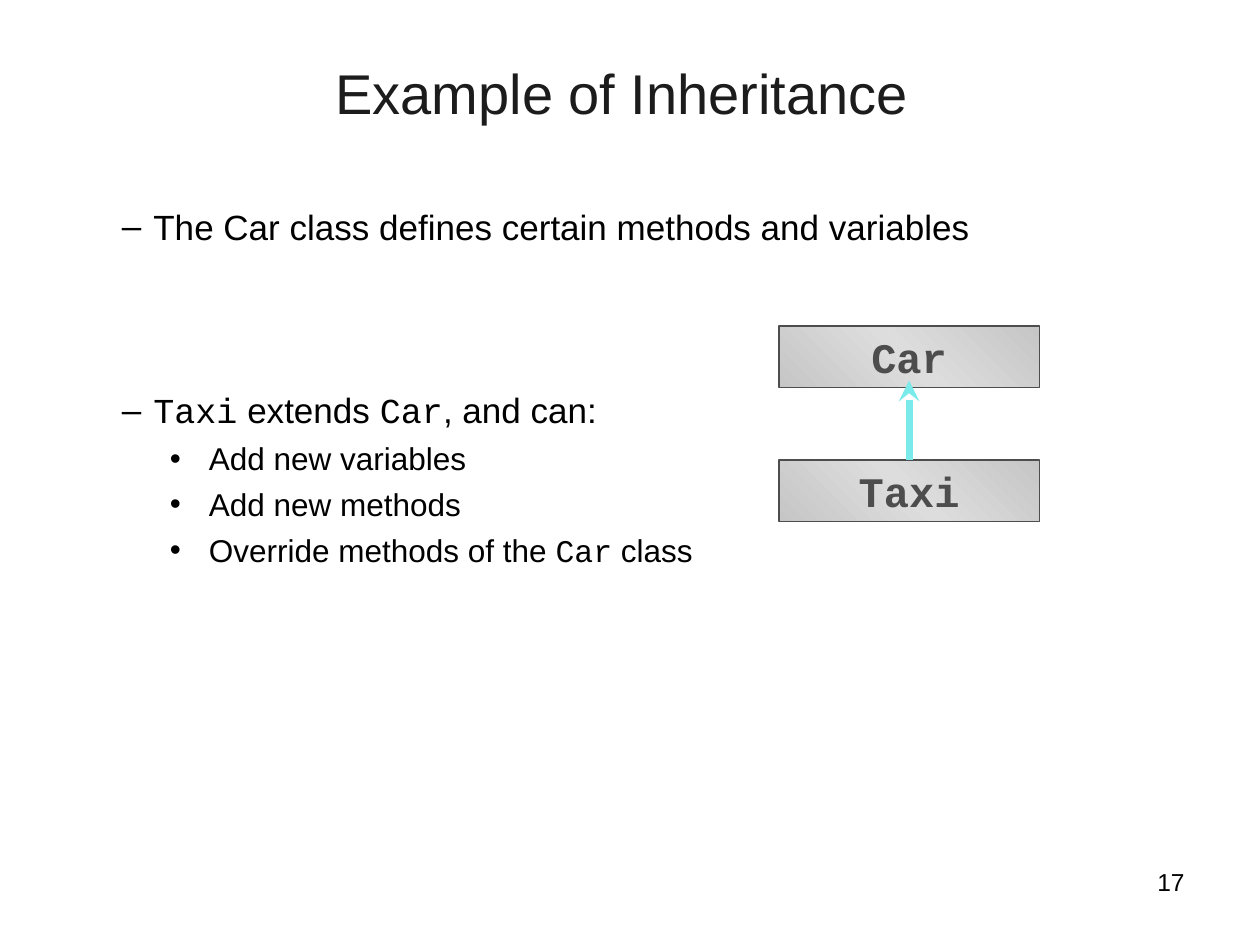
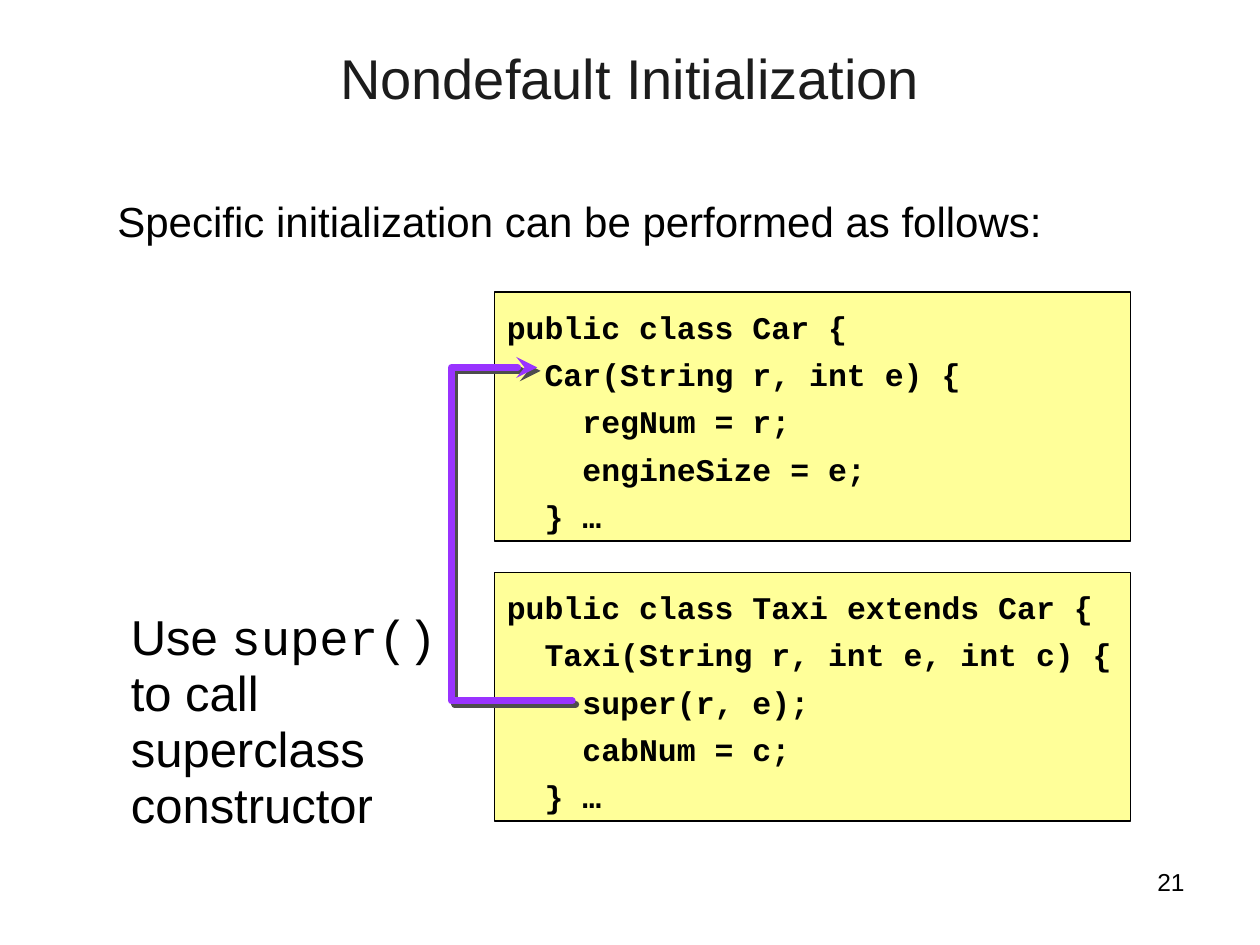
from lxml import etree
from pptx import Presentation
from pptx.dml.color import RGBColor
from pptx.enum import shapes as kinds, text as texts
from pptx.oxml import ns
from pptx.util import Pt

SANS, MONO = "Arial", "Courier New"
BLACK, TITLE, GREY = "000000", "1C1C1C", "4D4D4D"
CYAN, VIOLET, CREAM = "7BEAEA", "9933FF", "FFFF99"
STOPS = [(0, "C6C6C6"), (50, "DDDDDD"), (100, "C6C6C6")]
LEFT, MID, RIGHT = (texts.PP_ALIGN.LEFT, texts.PP_ALIGN.CENTER,
                    texts.PP_ALIGN.RIGHT)

# Content; words between backticks are set in the code font
DASH = dict(size=20, mark="–", left=26.6, hang=18, before=5)
DOT = dict(size=18, mark="•", left=58.3, hang=22.3, before=4.5)
POINTS = [
    ("The Car class defines certain methods and variables", DASH),
    ("`Taxi` extends `Car`, and can:", {**DASH, "before": 83.4, "lead": 0.9}),
    ("Add new variables", DOT),
    ("Add new methods", DOT),
    ("Override methods of the `Car` class", DOT),
]
INTRO = "Specific initialization can be performed as follows:"
HINT = "Use `super()` to call superclass constructor"
# Each code line: depth of nesting, text
CODE = [
    [(0, "public class Car {"), (1, "Car(String r, int e) {"),
     (2, "regNum = r;"), (2, "engineSize = e;"), (1, "} …")],
    [(0, "public class Taxi extends Car {"),
     (1, "Taxi(String r, int e, int c) {"),
     (2, "super(r, e);"), (2, "cabNum = c;"), (1, "} …")],
]
STEP = 21.6  # two characters of 18 pt code


def tint(code):
    return RGBColor.from_string(code)


def node(up, tag, **attrs):
    return etree.SubElement(up, ns.qn("a:" + tag),
                            {k: str(v) for k, v in attrs.items()})


def write(frame, words, size=18, font=SANS, color=BLACK, bold=False,
          align=LEFT, mark="", left=0, hang=0, before=0, lead=None,
          first=True):
    para = frame.paragraphs[0] if first else frame.add_paragraph()
    para.alignment = align
    para.space_before = Pt(before)
    if lead:
        para.line_spacing = lead
    props = para._p.get_or_add_pPr()
    props.set("marL", str(Pt(left)))
    props.set("indent", str(Pt(-hang)))
    if mark:
        node(props, "buFont", typeface=SANS)
        node(props, "buChar", char=mark)
    for i, part in enumerate(words.split("`")):
        if part:
            run = para.add_run()
            run.text = part
            run.font.name = MONO if i % 2 else font
            run.font.size = Pt(size)
            run.font.bold = bold
            run.font.color.rgb = tint(color)


def label(slide, spot, lines):
    frame = slide.shapes.add_textbox(*map(Pt, spot)).text_frame
    frame.word_wrap = True
    for i, (words, style) in enumerate(lines):
        write(frame, words, first=i == 0, **style)


def block(slide, spot, edge):
    box = slide.shapes.add_shape(kinds.MSO_SHAPE.RECTANGLE, *map(Pt, spot))
    box.shadow.inherit = False
    box.line.color.rgb = tint(edge)
    box.line.width = Pt(1)
    return box


def arrow(shape, color):
    shape.line.color.rgb = tint(color)
    shape.line.width = Pt(4)
    node(shape.line._get_or_add_ln(), "tailEnd", type="stealth")


def page(deck, title, spot, number):
    slide = deck.slides.add_slide(deck.slide_layouts[6])
    label(slide, (516, 492, 168, 37),
          [(number, dict(size=14, align=RIGHT))])
    label(slide, spot, [(title, dict(size=32, color=TITLE, align=MID))])
    return slide


def entity(slide, name, top):
    box = block(slide, (445, top, 149, 35), GREY)
    box.fill.gradient()
    grad = box._element.spPr.find(ns.qn("a:gradFill"))
    for kid in list(grad):
        grad.remove(kid)
    stops = node(grad, "gsLst")
    for place, code in STOPS:
        node(node(stops, "gs", pos=place * 1000), "srgbClr", val=code)
    node(grad, "lin", ang=315 * 60000, scaled=0)
    frame = box.text_frame
    frame.word_wrap = False
    frame.vertical_anchor = texts.MSO_ANCHOR.MIDDLE
    write(frame, name, size=24, font=MONO, color=GREY, bold=True, align=MID)
    return box


def family(deck):
    slide = page(deck, "Example of Inheritance ", (54, 30, 612, 90), "17")
    label(slide, (54, 114, 593, 220), POINTS)
    entity(slide, "Car", 186.5)
    taxi = entity(slide, "Taxi", 263)
    # Arrow from subclass up into its parent
    link = slide.shapes.add_connector(kinds.MSO_CONNECTOR.STRAIGHT,
                                      Pt(519.5), Pt(263), Pt(519.5), Pt(217.5))
    link.begin_connect(taxi, 0)
    arrow(link, CYAN)
    node(link._element.spPr, "effectLst")


def startup(deck):
    slide = page(deck, "Nondefault Initialization", (36, 21.6, 648, 50), "21")
    label(slide, (60, 108, 593, 36), [(INTRO, dict(size=24, before=6))])
    # Code panels
    for i, lines in enumerate(CODE):
        box = block(slide, (282.5, 167 + i * 160.2, 363.5, 142), BLACK)
        box.fill.solid()
        box.fill.fore_color.rgb = tint(CREAM)
        frame = box.text_frame
        frame.word_wrap = True
        frame.vertical_anchor = texts.MSO_ANCHOR.TOP
        for j, (depth, words) in enumerate(lines):
            write(frame, words, font=MONO, bold=True, left=depth * STEP,
                  lead=1.25, first=j == 0)
    # Call path from super() to the parent constructor
    pen = slide.shapes.build_freeform(Pt(327), Pt(400.5))
    pen.add_line_segments([(Pt(x), Pt(y)) for x, y in
                           [(258, 400.5), (258, 210), (307, 210)]],
                          close=False)
    call = pen.convert_to_shape()
    call.fill.background()
    arrow(call, VIOLET)
    call.line._get_or_add_ln().set("cap", "rnd")
    call.shadow.inherit = False
    shade = node(call._element.spPr.find(ns.qn("a:effectLst")), "outerShdw",
                 blurRad=0, dist=Pt(2.8), dir=45 * 60000, algn="ctr",
                 rotWithShape=0)
    node(shade, "srgbClr", val=GREY)
    label(slide, (67.7, 345.6, 212.4, 135.4),
          [(HINT, dict(size=28, before=12.2, lead=0.95))])


def main():
    deck = Presentation()
    deck.slide_width, deck.slide_height = Pt(720), Pt(540)
    family(deck)
    startup(deck)
    deck.save("out.pptx")


if __name__ == "__main__":
    main()
